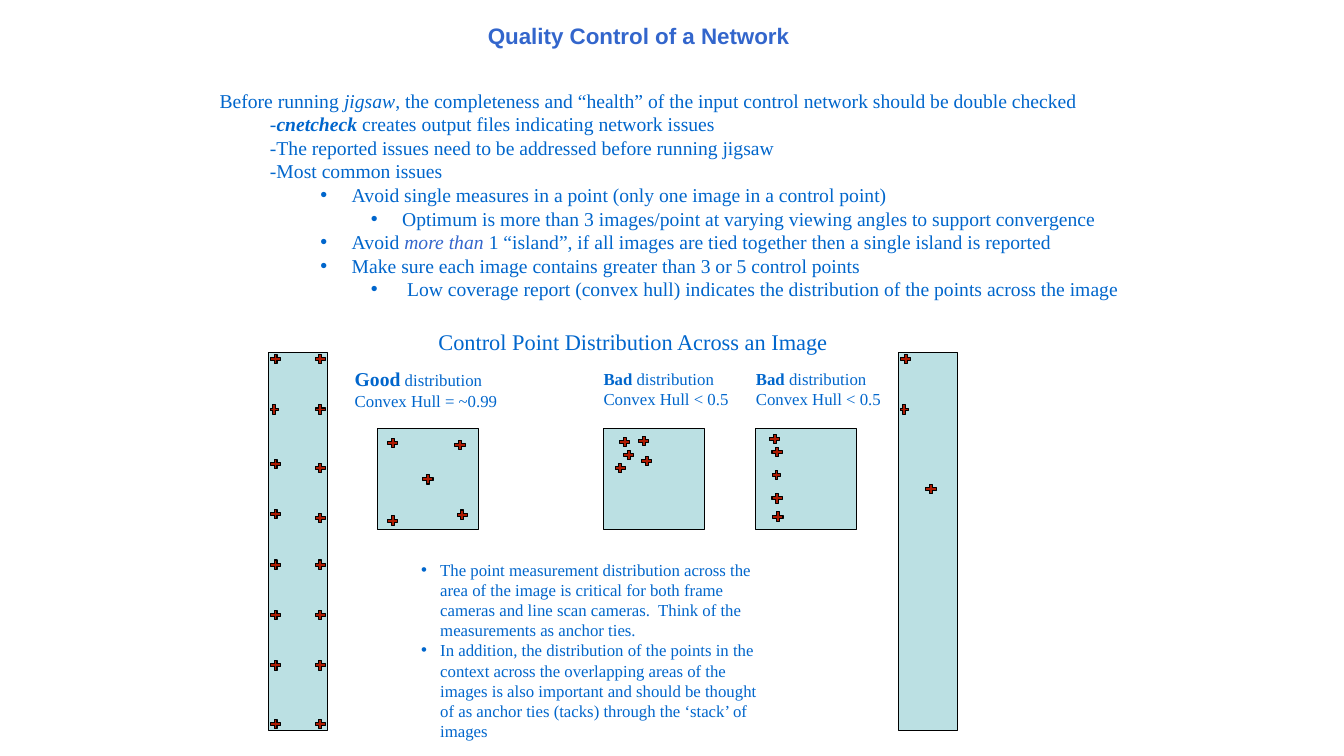
"""Build a slide on checking the quality of a control network."""
from lxml import etree
from pptx import Presentation
from pptx.dml.color import RGBColor
from pptx.enum.shapes import MSO_SHAPE as Preset
from pptx.enum.text import MSO_ANCHOR as Anchor, MSO_AUTO_SIZE as AutoSize, PP_ALIGN as Align
from pptx.oxml.ns import qn
from pptx.util import Cm, Pt

BLUE, TITLE_BLUE = "0066CC", "3366CC"
IMAGE_FILL, POINT_FILL, OUTLINE = "BBE0E3", "AE1B02", "000000"
SMALL, MEDIUM, LARGE = 12, 14, 16
BOLD, ITALIC = {"bold": True}, {"italic": True}

TITLE = "Quality Control of a Network"
SUBTITLE = "Control Point Distribution Across an Image"

CHECKS = [
    (0, ["Before running ", ("jigsaw", ITALIC),
         ", the completeness and “health” of the input control network should be double checked"]),
    (1, ["-", ("cnetcheck ", BOLD | ITALIC), "creates output files indicating network issues"]),
    (1, ["-The reported issues need to be addressed before running jigsaw"]),
    (1, ["-Most common issues"]),
    (2, ["Avoid single measures in a point (only one image in a control point)"]),
    (3, ["Optimum is more than 3 images/point at varying viewing angles to support convergence"]),
    (2, ["Avoid ", ("more than ", ITALIC | {"color": TITLE_BLUE}),
         "1 “island”, if all images are tied together then a single island is reported"]),
    (2, ["Make sure each image contains greater than 3 or 5 control points"]),
    (3, [" Low coverage report (convex hull) indicates the distribution of the points across the image"]),
]
CHECK_INDENTS = [(0, 0), (1.27, 0), (3.33, -0.79), (4.6, -0.79)]

REASONS = [
    "The point measurement distribution across the area of the image is critical for both frame "
    "cameras and line scan cameras.  Think of the measurements as anchor ties.",
    "In addition, the distribution of the points in the context across the overlapping areas of "
    "the images is also important and should be thought of as anchor ties (tacks) through the "
    "‘stack’ of images",
]

LABELS = [
    ((8.69, 9.12, 4.14, 1.37), [("Good", BOLD | {"size": MEDIUM}), " distribution"], "Convex Hull = ~0.99"),
    ((14.96, 9.17, 3.71, 1.27), [("Bad", BOLD), " distribution"], "Convex Hull < 0.5"),
    ((18.8, 9.17, 3.71, 1.27), [("Bad ", BOLD), "distribution"], "Convex Hull < 0.5"),
]

POINT_WIDTH, NARROW_WIDTH, POINT_HEIGHT = 0.35, 0.28, 0.32
FRAME, STRIP = (2.54, 2.54), (1.48, 9.53)
FRAME_TOP, STRIP_TOP = 10.8, 8.89
LEFT_EDGE = [0, 1.27, 2.64, 3.91, 5.18, 6.45, 7.72, 9.2]
RIGHT_EDGE = [0, 1.27, 2.74, 4.01, 5.18, 6.45, 7.72, 9.2]
IMAGES = [
    ((9.52, FRAME_TOP), FRAME, [(0.2, 0.2), (1.9, 0.25), (1.09, 1.12), (0.2, 2.16), (1.96, 2.01)], []),
    ((15.21, FRAME_TOP), FRAME, [(0.46, 0.51), (0.84, 0.15), (0.36, 0.18), (0.91, 0.66), (0.25, 0.84)], []),
    ((19.05, FRAME_TOP), FRAME, [(0.36, 0.43), (0.36, 1.6), (0.38, 2.06), (0.3, 0.1)], [(0.38, 1.01)]),
    ((6.77, STRIP_TOP), STRIP,
     [(0, y) for y in LEFT_EDGE if y != 1.27] + [(STRIP[0] - POINT_WIDTH, y) for y in RIGHT_EDGE],
     [(0, 1.27)]),
    ((22.65, STRIP_TOP), STRIP, [(0, 0), (0.64, 3.28)], [(0, 1.27)]),
]


def rgb(value):
    return RGBColor.from_string(value)


def write(paragraph, text, size=SMALL, font="Times New Roman", color=BLUE, bold=False,
          italic=False, align=Align.LEFT):
    paragraph.alignment = align
    paragraph.space_before = Pt(0)
    run = paragraph.add_run()
    run.text = text
    run.font.size, run.font.name = Pt(size), font
    run.font.bold, run.font.italic = bold, italic
    run.font.color.rgb = rgb(color)


def write_runs(paragraph, parts, **base):
    for part in parts:
        text, extra = (part, {}) if isinstance(part, str) else part
        write(paragraph, text, **(base | extra))


def place(holder, box, wrap=True, anchor=Anchor.TOP):
    holder.left, holder.top, holder.width, holder.height = map(Cm, box)
    frame = holder.text_frame
    frame.auto_size = AutoSize.NONE
    frame.word_wrap, frame.vertical_anchor = wrap, anchor
    return frame


def paragraphs(frame, count):
    return [frame.paragraphs[0]] + [frame.add_paragraph() for _ in range(count - 1)]


def set_indent(paragraph, margin, hanging):
    paragraph.space_before = Pt(0)
    properties = paragraph._p.get_or_add_pPr()
    properties.set("marL", str(Cm(margin)))
    properties.set("indent", str(Cm(hanging)))
    if hanging:
        etree.SubElement(properties, qn("a:buChar")).set("char", "•")
    else:
        etree.SubElement(properties, qn("a:buNone"))


def add_part(group, preset, box, fill):
    part = group.shapes.add_shape(preset, *map(Cm, box))
    part.shadow.inherit = False
    part.fill.solid()
    part.fill.fore_color.rgb = rgb(fill)
    part.line.color.rgb = rgb(OUTLINE)
    part.line.width = Pt(0.75)


def add_image(slide, corner, size, points, narrow_points):
    group = slide.shapes.add_group_shape()
    add_part(group, Preset.RECTANGLE, corner + size, IMAGE_FILL)
    for width, offsets in ((POINT_WIDTH, points), (NARROW_WIDTH, narrow_points)):
        for x, y in offsets:
            box = (corner[0] + x, corner[1] + y, width, POINT_HEIGHT)
            add_part(group, Preset.MATH_PLUS, box, POINT_FILL)


def main():
    deck = Presentation()
    deck.slide_width, deck.slide_height = Cm(33.87), Cm(19.05)
    slide = deck.slides.add_slide(deck.slide_layouts[3])
    title, checks, reasons = list(slide.placeholders)[:3]

    heading = place(title, (11.23, 0.43, 9.73, 0.94), anchor=Anchor.MIDDLE)
    write(heading.paragraphs[0], TITLE, size=LARGE, font="Arial", color=TITLE_BLUE,
          bold=True, align=Align.CENTER)

    check_frame = place(checks, (5.28, 2.11, 23.6, 5.64))
    for paragraph, (level, parts) in zip(paragraphs(check_frame, len(CHECKS)), CHECKS):
        paragraph.level = level
        set_indent(paragraph, *CHECK_INDENTS[level])
        write_runs(paragraph, parts, size=MEDIUM)

    reason_frame = place(reasons, (10.36, 13.97, 9.32, 4.88))
    for paragraph, reason in zip(paragraphs(reason_frame, len(REASONS)), REASONS):
        set_indent(paragraph, 0.48, -0.48)
        write(paragraph, reason)

    subtitle_box = (10.8, 8.15, 10.44, 0.93)
    subtitle = place(slide.shapes.add_textbox(*map(Cm, subtitle_box)), subtitle_box, wrap=False)
    write(subtitle.paragraphs[0], SUBTITLE, size=LARGE)

    for box, verdict, hull in LABELS:
        label = place(slide.shapes.add_textbox(*map(Cm, box)), box, wrap=False)
        for paragraph, parts in zip(paragraphs(label, 2), (verdict, [hull])):
            write_runs(paragraph, parts)

    for image in IMAGES:
        add_image(slide, *image)

    deck.save("out.pptx")


if __name__ == "__main__":
    main()
